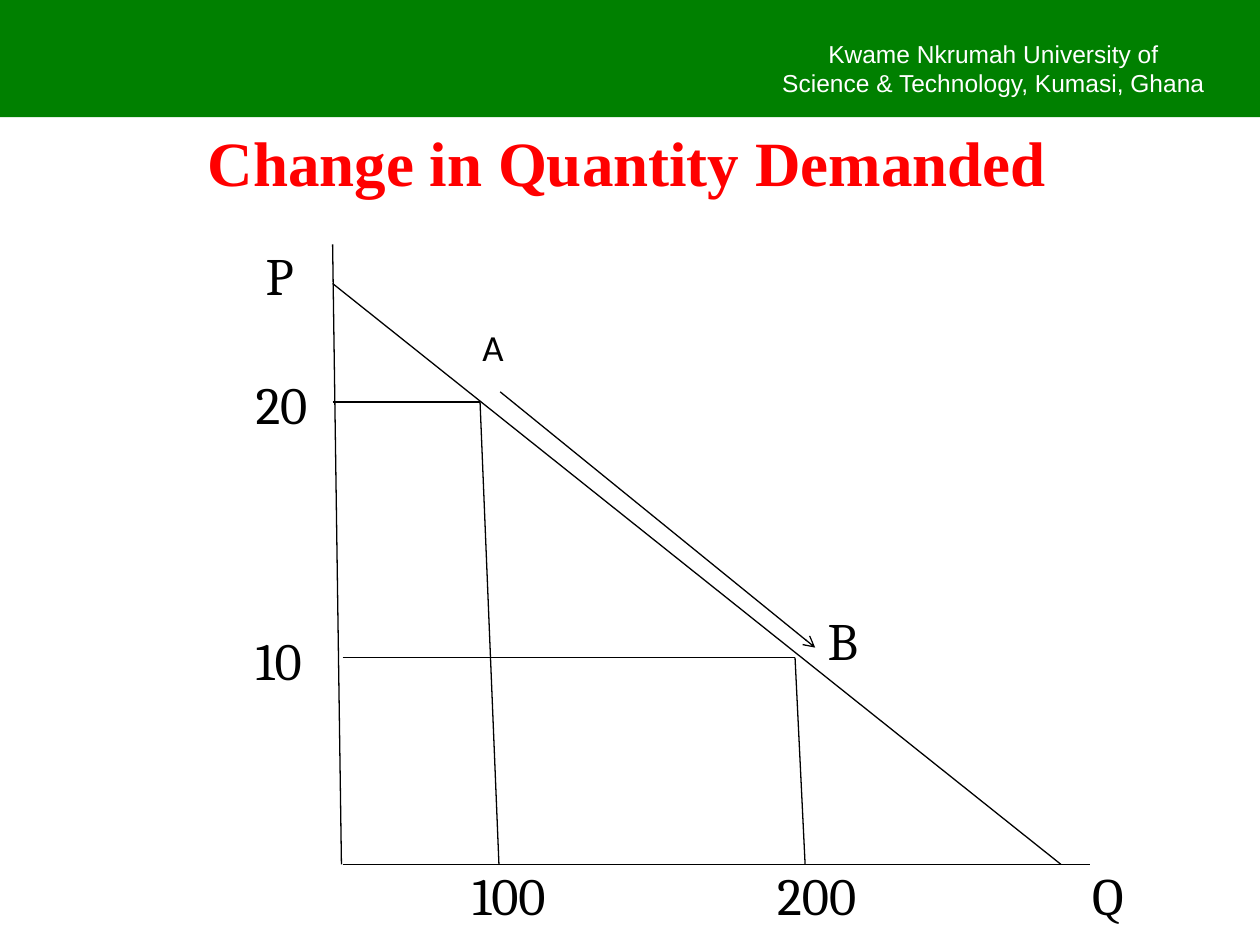
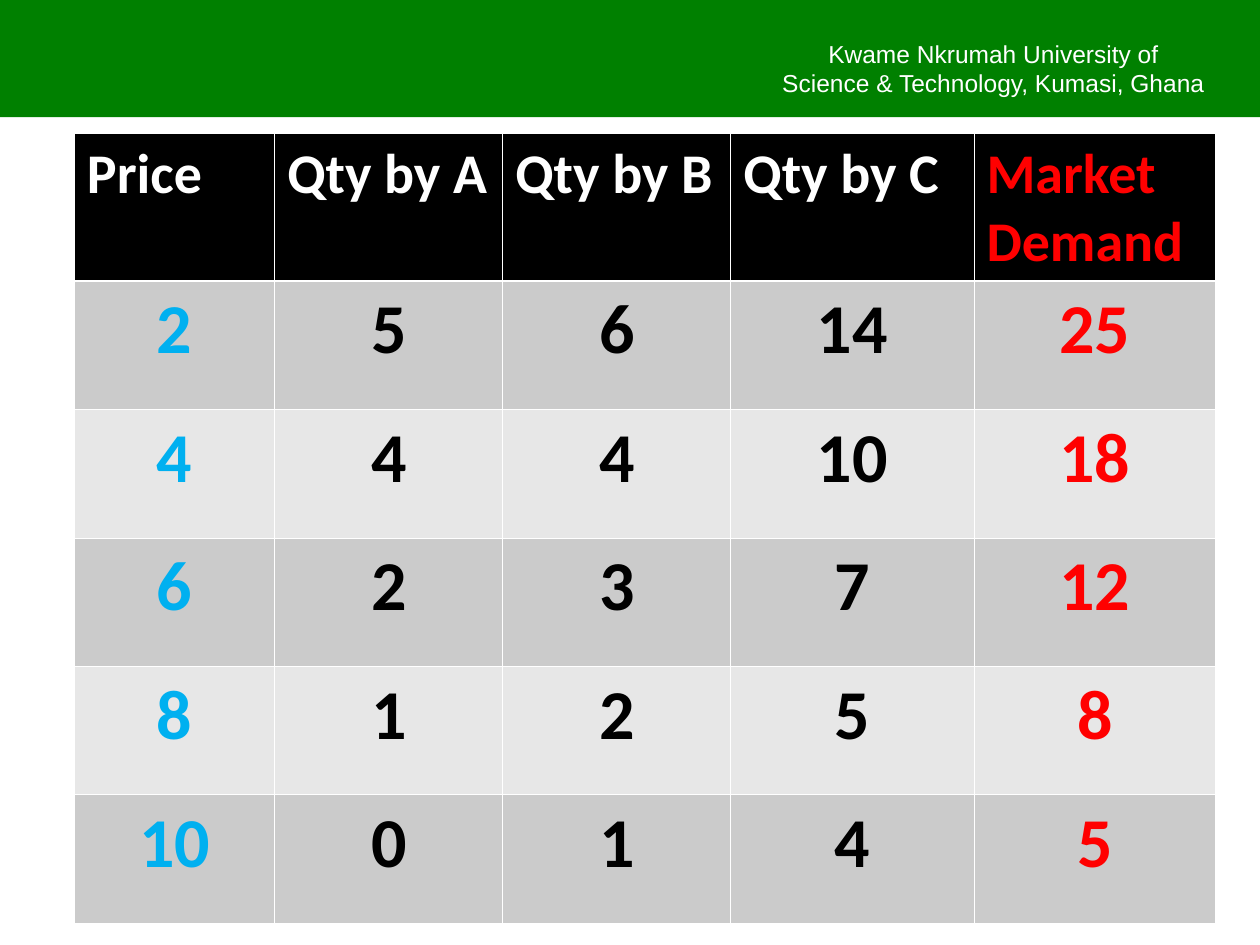
from pptx import Presentation, util as u
from pptx.dml.color import RGBColor
from pptx.enum import shapes, text
from pptx.oxml.ns import qn
from lxml import etree

GREEN = RGBColor(0x00, 0x80, 0x00)
RED = RGBColor(0xFF, 0x00, 0x00)
BLUE = RGBColor(0x00, 0xB0, 0xF0)
BLACK = RGBColor(0x00, 0x00, 0x00)
WHITE = RGBColor(0xFF, 0xFF, 0xFF)
DARK_ROW = RGBColor(0xCB, 0xCB, 0xCB)
LIGHT_ROW = RGBColor(0xE7, 0xE7, 0xE7)

TITLE_ONLY, BLANK = 5, 6
UNIVERSITY = "Kwame Nkrumah University of\nScience & Technology, Kumasi, Ghana"

TITLE = dict(name="Times New Roman", size=u.Pt(36), bold=True, color=RED)
BAND = dict(name="Arial", size=u.Pt(14), color=WHITE)
LABEL = dict(name="Cambria", size=u.Pt(30), color=BLACK)
POINT = dict(name="Calibri", size=u.Pt(21), color=BLACK)
HEADING = dict(name="Calibri", size=u.Pt(32), bold=True, color=WHITE)
QUANTITY = dict(name="Calibri", size=u.Pt(40), bold=True, color=BLACK)


class Deck:
    def __init__(self):
        self.prs = Presentation()
        self.prs.slide_width, self.prs.slide_height = u.Inches(10), u.Inches(7.5)
        self.slide = None

    def set_text(self, frame, content, style, align=None, spacing=None):
        frame.text = content
        for paragraph in frame.paragraphs:
            paragraph.alignment = align
            paragraph.line_spacing = spacing
            for key, value in style.items():
                if key == "color":
                    paragraph.font.color.rgb = value
                else:
                    setattr(paragraph.font, key, value)

    def start_slide(self, layout):
        """Add a slide with the green university band."""
        self.slide = self.prs.slides.add_slide(self.prs.slide_layouts[layout])
        band = self.slide.shapes.add_shape(
            shapes.MSO_SHAPE.RECTANGLE, 0, 0, self.prs.slide_width, u.Inches(0.93))
        band.shadow.inherit = False
        band.fill.solid()
        band.fill.fore_color.rgb = GREEN
        band.line.fill.background()
        self.label(UNIVERSITY, 6, 0.26, 3.77, BAND, 0.57, text.PP_ALIGN.CENTER, None)

    def title(self, content):
        heading = self.slide.shapes.title
        heading.left, heading.top = u.Inches(0.26), u.Inches(0.95)
        heading.width, heading.height = u.Inches(9.43), u.Inches(0.69)
        frame = heading.text_frame
        frame.auto_size = text.MSO_AUTO_SIZE.NONE
        frame.vertical_anchor = text.MSO_ANCHOR.BOTTOM
        self.set_text(frame, content, TITLE, text.PP_ALIGN.CENTER, 0.9)

    def label(self, content, left, top, width, style=LABEL, height=0.47,
              align=None, spacing=0.9):
        box = self.slide.shapes.add_textbox(*map(u.Inches, (left, top, width, height)))
        box.text_frame.word_wrap = True
        self.set_text(box.text_frame, content, style, align, spacing)

    def line(self, start, end, arrow=False):
        stroke = self.slide.shapes.add_connector(
            shapes.MSO_CONNECTOR.STRAIGHT, *map(u.Inches, (*start, *end)))
        stroke.line.color.rgb = BLACK
        stroke.line.width = u.Pt(0.75)
        properties = stroke._element.spPr
        if arrow:
            etree.SubElement(properties.find(qn("a:ln")), qn("a:tailEnd"), type="arrow")
        etree.SubElement(properties, qn("a:effectLst"))

    def cell_borders(self, cell, **widths):
        """Draw white borders; widths are points keyed by side L, R, T, B."""
        properties = cell._tc.get_or_add_tcPr()
        for side, width in widths.items():
            border = etree.SubElement(properties, qn(f"a:ln{side}"), w=str(u.Pt(width)))
            paint = etree.SubElement(border, qn("a:solidFill"))
            etree.SubElement(paint, qn("a:srgbClr"), val=str(WHITE))

    def table(self, rows, left, top, widths, heights):
        """Table with a black header, banded rows and coloured outer columns."""
        grid = self.slide.shapes.add_table(
            len(rows), len(widths), u.Inches(left), u.Inches(top),
            u.Inches(sum(widths)), u.Inches(sum(heights))).table
        for column, width in zip(grid.columns, widths):
            column.width = u.Inches(width)
        for r, (row, height) in enumerate(zip(rows, heights)):
            grid.rows[r].height = u.Inches(height)
            fill = BLACK if r == 0 else (LIGHT_ROW, DARK_ROW)[r % 2]
            for c, value in enumerate(row):
                cell = grid.cell(r, c)
                self.cell_borders(cell, L=0.45, R=0.45, T=1.47 if r == 1 else 0.45,
                                  B=1.47 if r == 0 else 0.45)
                cell.fill.solid()
                cell.fill.fore_color.rgb = fill
                style = dict(QUANTITY if r else HEADING)
                if c == len(row) - 1:
                    style["color"] = RED
                elif r and c == 0:
                    style["color"] = BLUE
                self.set_text(cell.text_frame, str(value), style,
                              text.PP_ALIGN.CENTER if r else None)


def demand_curve(deck):
    deck.start_slide(TITLE_ONLY)
    deck.title("Change in Quantity Demanded")

    axis_x, origin_x, base_y = 2.64, 2.72, 6.86
    deck.line((axis_x, 1.94), (2.71, base_y))
    deck.line((origin_x, base_y), (8.65, base_y))
    deck.line((axis_x, 2.25), (8.42, base_y))
    deck.line((3.97, 3.11), (6.47, 5.14), arrow=True)
    for price_x, point_x, price_y, quantity_x in (
            (axis_x, 3.81, 3.19, 3.96), (origin_x, 6.31, 5.22, 6.39)):
        deck.line((price_x, price_y), (point_x, price_y))
        deck.line((point_x, price_y), (quantity_x, base_y))

    deck.label("A", 3.73, 2.57, 0.47, POINT)
    for name, left, top, width in (
            ("B", 6.47, 4.83, 0.47), ("P", 2.01, 1.94, 0.62), ("Q", 8.57, base_y, 0.47),
            ("20", 1.93, 2.96, 0.7), ("10", 1.93, 4.99, 0.7),
            ("100", 3.65, base_y, 0.94), ("200", 6.07, base_y, 1.02)):
        deck.label(name, left, top, width)


def market_demand(deck):
    deck.start_slide(BLANK)
    schedule = [(2, 5, 6, 14), (4, 4, 4, 10), (6, 2, 3, 7), (8, 1, 2, 5), (10, 0, 1, 4)]
    rows = [("Price", "Qty by A", "Qty by B", "Qty by C", "Market Demand")]
    rows += [(price, *bought, sum(bought)) for price, *bought in schedule]
    deck.table(rows, 0.59, 1.06, (1.59, 1.81, 1.81, 1.93, 1.92),
               [1.17] + [1.02] * len(schedule))


def main():
    deck = Deck()
    demand_curve(deck)
    market_demand(deck)
    deck.prs.save("out.pptx")


if __name__ == "__main__":
    main()
